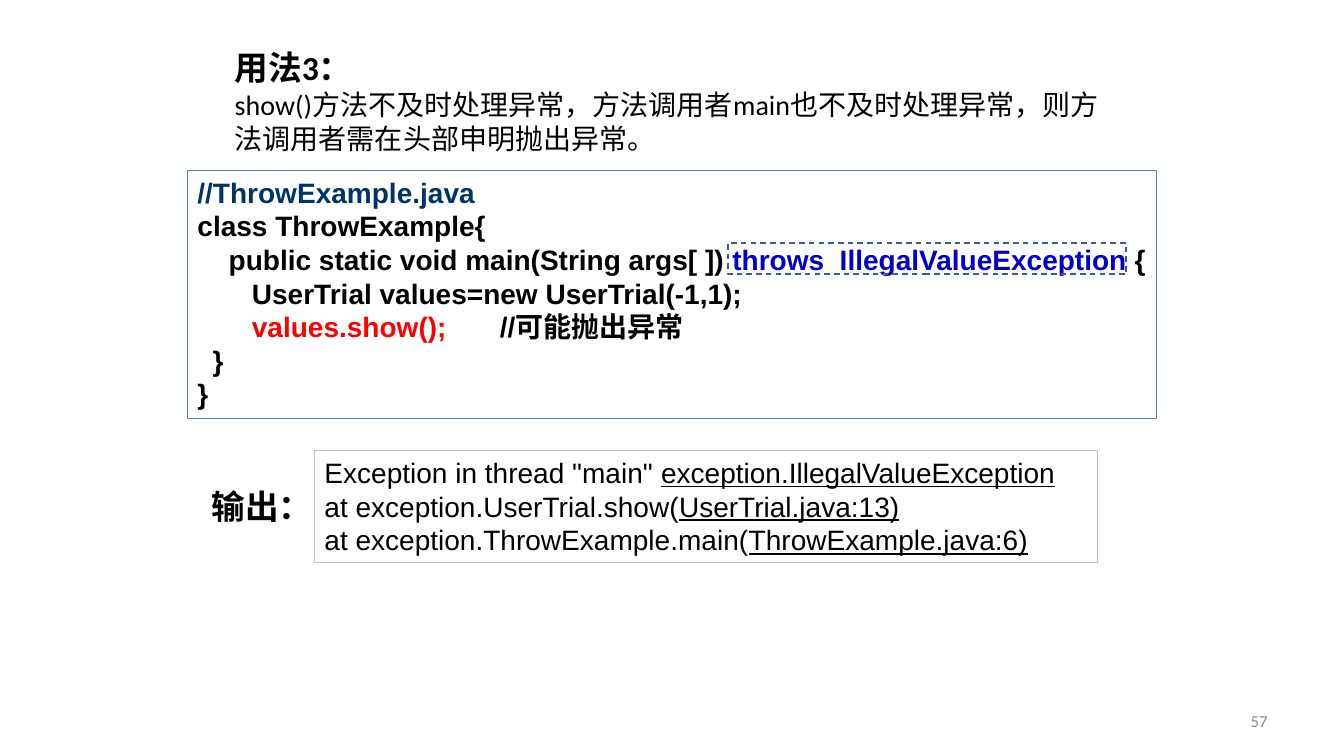
from pptx import Presentation
from pptx.dml.color import RGBColor
from pptx.enum.dml import MSO_LINE
from pptx.enum.shapes import MSO_SHAPE
from pptx.enum.text import MSO_ANCHOR, PP_ALIGN
from pptx.util import Inches, Pt

BLACK = RGBColor(0x00, 0x00, 0x00)
NAVY = RGBColor(0x00, 0x33, 0x66)
BLUE = RGBColor(0x00, 0x00, 0xCC)
RED = RGBColor(0xFF, 0x00, 0x00)
GRAY = RGBColor(0x8C, 0x8C, 0x8C)
CODE_BORDER = RGBColor(0x4F, 0x81, 0xBD)
OUTPUT_BORDER = RGBColor(0xC0, 0xC0, 0xC0)
HIGHLIGHT_BORDER = RGBColor(0x3A, 0x5F, 0x8C)


class SlideBuilder:
    def __init__(self, slide):
        self.shapes = slide.shapes

    def text_box(self, left, top, width, height):
        box = self.shapes.add_textbox(
            Inches(left), Inches(top), Inches(width), Inches(height))
        box.text_frame.word_wrap = True
        return box.text_frame

    def frame(self, left, top, width, height, color, weight=0.75, dash=None):
        rect = self.shapes.add_shape(
            MSO_SHAPE.RECTANGLE,
            Inches(left), Inches(top), Inches(width), Inches(height))
        rect.shadow.inherit = False
        rect.fill.background()
        rect.line.color.rgb = color
        rect.line.width = Pt(weight)
        if dash:
            rect.line.dash_style = dash
        rect.text_frame.word_wrap = True
        rect.text_frame.vertical_anchor = MSO_ANCHOR.TOP
        return rect.text_frame

    def line(self, text_frame, *pieces, size=20, font="Arial", bold=False,
             indent=0, align=PP_ALIGN.LEFT):
        """Add a paragraph of (text, color, underline) pieces."""
        paragraph = text_frame.paragraphs[0]
        if paragraph.runs:
            paragraph = text_frame.add_paragraph()
        paragraph.alignment = align
        if indent:
            paragraph._p.get_or_add_pPr().set("indent", str(Inches(indent)))
        for text, color, underline in pieces:
            run = paragraph.add_run()
            run.text = text
            run.font.size = Pt(size)
            run.font.name = font
            run.font.bold = bold
            run.font.underline = underline
            run.font.color.rgb = color


def main():
    prs = Presentation()
    prs.slide_width, prs.slide_height = Inches(13.33), Inches(7.5)
    builder = SlideBuilder(prs.slides.add_slide(prs.slide_layouts[6]))

    # Code listing: indent in inches, then colored pieces
    code_lines = [
        (0, [("//ThrowExample.java", NAVY)]),
        (0, [("class ThrowExample{", BLACK)]),
        (0.31, [("public static void main(String args[ ]) ", BLACK),
                ("throws  IllegalValueException ", BLUE), ("{", BLACK)]),
        (0.54, [("UserTrial values=new UserTrial(-1,1);", BLACK)]),
        (0.54, [("values.show(); \t", RED), ("//可能抛出异常", BLACK)]),
        (0.15, [("}", BLACK)]),
        (0, [("}", BLACK)]),
    ]
    code = builder.frame(1.86, 1.69, 9.61, 2.46, CODE_BORDER)
    for indent, pieces in code_lines:
        builder.line(code, *[(text, color, False) for text, color in pieces],
                     bold=True, indent=indent)

    # Slide number
    number = builder.text_box(9.56, 6.95, 3.11, 0.4)
    number.vertical_anchor = MSO_ANCHOR.MIDDLE
    builder.line(number, ("57", GRAY, False), size=12, font="Calibri",
                 align=PP_ALIGN.RIGHT)

    # Heading and explanation
    usage = builder.text_box(2.23, 0.42, 8.86, 1.13)
    builder.line(usage, ("用法3：", BLACK, False), size=24, font="Calibri",
                 bold=True)
    builder.line(usage, (
        "show()方法不及时处理异常，方法调用者main也不及时处理异常，"
        "则方法调用者需在头部申明抛出异常。", BLACK, False), font="Calibri")

    # Program output: plain start, underlined end
    output = builder.frame(3.12, 4.47, 7.77, 1.11, OUTPUT_BORDER)
    for plain, linked in [
        ('Exception in thread "main" ', "exception.IllegalValueException"),
        ("at exception.UserTrial.show(", "UserTrial.java:13)"),
        ("at exception.ThrowExample.main(", "ThrowExample.java:6)"),
    ]:
        builder.line(output, (plain, BLACK, False), (linked, BLACK, True))

    output_label = builder.text_box(2, 4.77, 0.99, 0.5)
    output_label.word_wrap = False
    builder.line(output_label, ("输出：", BLACK, False), size=24, bold=True)

    # Dashed highlight around the throws clause
    builder.frame(7.22, 2.41, 3.95, 0.31, HIGHLIGHT_BORDER, 1, MSO_LINE.DASH)

    prs.save("out.pptx")


if __name__ == "__main__":
    main()
